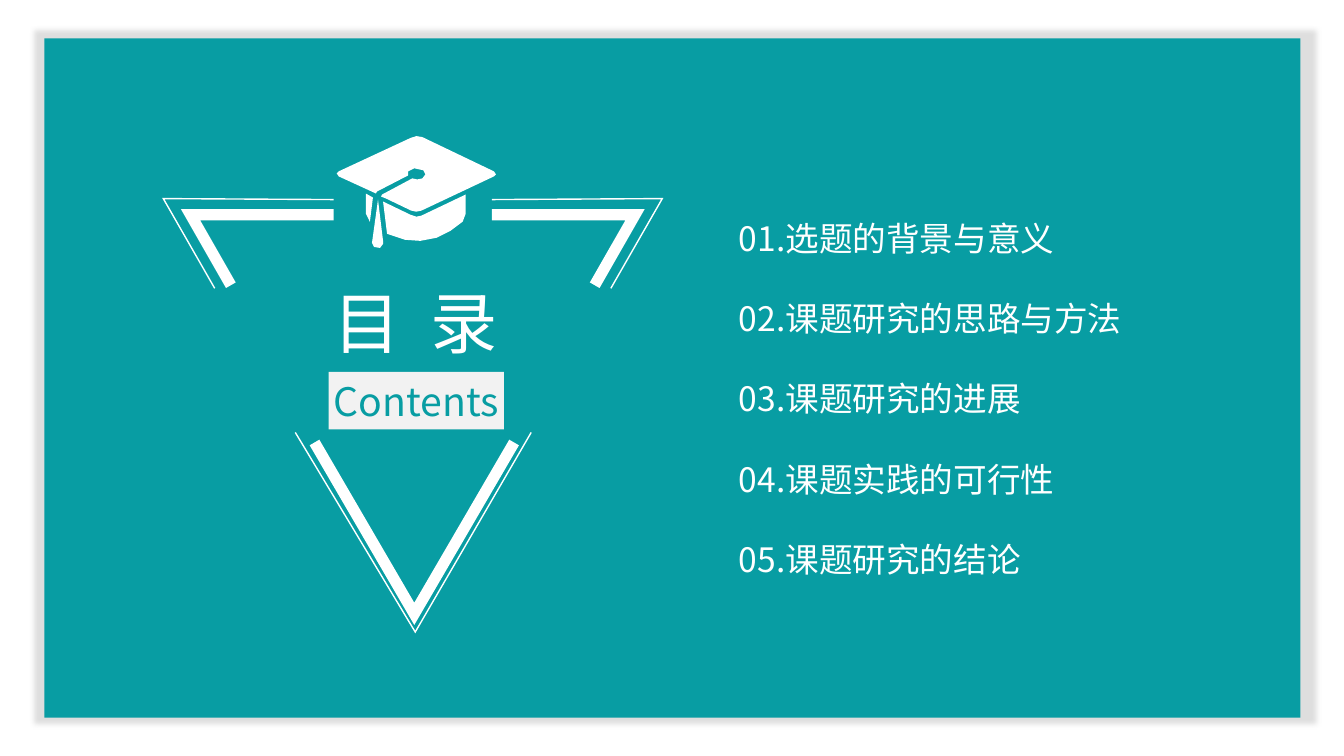
import dataclasses

import lxml.etree
import pptx
import pptx.dml.color
import pptx.enum.shapes
import pptx.enum.text
import pptx.oxml
import pptx.oxml.ns
import pptx.util


@dataclasses.dataclass(frozen=True)
class Theme:
    teal: str = "089DA3"
    white: str = "FFFFFF"
    label: str = "F2F2F2"
    shadow: str = "A6A6A6"
    font: str = "Noto Sans CJK SC"
    title_size: int = 48
    label_size: int = 28
    topic_size: int = 24
    topic_pitch: float = 57.4
    thin: int = 1
    thick: int = 8


THEME = Theme()
CELL = pptx.util.Inches(0.1)
COLUMNS, ROWS = 133.33, 75
MIRROR = 81.9

TOPICS = ["选题的背景与意义", "课题研究的思路与方法", "课题研究的进展", "课题实践的可行性", "课题研究的结论"]

CORNERS = [
    (THEME.thin, [(21.3, 28.6), (16.2, 19.7), (33.1, 19.8)]),
    (THEME.thick, [(22.9, 28.3), (18.9, 21.3), (33.1, 21.3)]),
]
TIPS = [
    (THEME.thin, [(52.7, 42.9), (41.2, 62.7), (29.3, 42.9)]),
    (THEME.thick, [(51, 43.9), (41.1, 60.9), (31.2, 43.9)]),
]
CAP_PARTS = [
    [(40.7, 13.7), (41.3, 13.5), (41.9, 13.6), (49, 17), (49.2, 17.3), (49, 17.5),
     (41.8, 20.9), (41.3, 21), (40.8, 20.9), (38.3, 19.7), (37.8, 19.5), (37.9, 19.3),
     (40.9, 17.7), (41.4, 17.8), (41.9, 17.7), (42.2, 17.3), (42, 16.9), (41.1, 16.7),
     (40.5, 17), (40.5, 17.4), (37.4, 19), (37.3, 19.2), (33.6, 17.5), (33.4, 17.2),
     (33.6, 17)],
    [(36.3, 19.2), (37, 19.6), (36.7, 22), (36.3, 21.2)],
    [(41.8, 21.4), (46.2, 19.3), (46.2, 21.2), (45.9, 22), (44.7, 22.9), (43.3, 23.6),
     (41.7, 23.9), (40.2, 23.8), (38.4, 23.2), (38, 20), (40.7, 21.3), (41.3, 21.5)],
    [(36.9, 24.1), (37.5, 19.8), (38, 23.9), (38, 24.2), (37.7, 24.6), (37.1, 24.5)],
]


def colour(value):
    """Turn a hexadecimal string into a colour."""
    return pptx.dml.color.RGBColor.from_string(value)


def place(shape, left, top, width, height):
    """Put a shape on the grid."""
    shape.left, shape.top = round(left * CELL), round(top * CELL)
    shape.width, shape.height = round(width * CELL), round(height * CELL)


def add_block(shapes, area, fill):
    """Add a plain filled rectangle."""
    block = shapes.add_shape(pptx.enum.shapes.MSO_SHAPE.RECTANGLE, 0, 0, 0, 0)
    place(block, *area)
    block.shadow.inherit = False
    block.fill.solid()
    block.fill.fore_color.rgb = colour(fill)
    block.line.fill.background()
    return block


def add_glow(block):
    """Give a block a soft shadow slightly larger than itself."""
    effects = block.element.spPr.find(pptx.oxml.ns.qn("a:effectLst"))
    effects.append(pptx.oxml.parse_xml(
        f'<a:outerShdw {pptx.oxml.ns.nsdecls("a")} blurRad="50800" dist="25400" dir="0" '
        f'sx="102000" sy="102000" algn="ctr" rotWithShape="0"><a:srgbClr val="{THEME.shadow}">'
        '<a:alpha val="36000"/></a:srgbClr></a:outerShdw>'))


def add_outline(shapes, points, closed):
    """Add a freeform through grid points."""
    start, *others = [(round(x * CELL), round(y * CELL)) for x, y in points]
    builder = shapes.build_freeform(*start)
    builder.add_line_segments(others, close=closed)
    outline = builder.convert_to_shape()
    outline.shadow.inherit = False
    return outline


def add_stroke(shapes, points, weight):
    """Add an open white stroke with sharp corners."""
    stroke = add_outline(shapes, points, False)
    stroke.fill.background()
    stroke.line.color.rgb = colour(THEME.white)
    stroke.line.width = pptx.util.Pt(weight)
    miter = lxml.etree.SubElement(stroke.line._get_or_add_ln(), pptx.oxml.ns.qn("a:miter"))
    miter.set("lim", "800000")


def add_frame(shapes):
    """Draw the broken double triangle."""
    frame = shapes.add_group_shape().shapes
    for weight, points in CORNERS:
        add_stroke(frame, points, weight)
        add_stroke(frame, [(MIRROR - x, y) for x, y in points], weight)
    for weight, points in TIPS:
        add_stroke(frame, points, weight)


def add_cap(shapes):
    """Draw the graduation cap."""
    cap = shapes.add_group_shape().shapes
    for points in CAP_PARTS:
        part = add_outline(cap, points, True)
        part.fill.solid()
        part.fill.fore_color.rgb = colour(THEME.white)
        part.line.fill.background()


def write(box, lines, size, ink, align, anchor, wrap=True, pitch=1.0, tracking=0):
    """Fill a box with plain paragraphs of one style."""
    frame = box.text_frame
    frame.auto_size = pptx.enum.text.MSO_AUTO_SIZE.NONE
    frame.word_wrap = wrap
    frame.vertical_anchor = anchor
    frame.text = "\n".join(lines)
    for para in frame.paragraphs:
        properties = para._p.get_or_add_pPr()
        properties.set("marL", "0")
        properties.set("indent", "0")
        para.alignment = align
        para.line_spacing = pitch
        para.space_before = pptx.util.Pt(0)
        lxml.etree.SubElement(properties, pptx.oxml.ns.qn("a:buNone"))
        para.font.size = pptx.util.Pt(size)
        para.font.color.rgb = colour(ink)
        para.font.name = THEME.font
        defaults = properties.find(pptx.oxml.ns.qn("a:defRPr"))
        east_asian = lxml.etree.SubElement(defaults, pptx.oxml.ns.qn("a:ea"))
        east_asian.set("typeface", THEME.font)
        if tracking:
            defaults.set("spc", str(tracking))


def bring_forward(shape):
    """Move a shape to the front of the page."""
    shape.element.getparent().append(shape.element)


def main():
    """Build the contents page."""
    deck = pptx.Presentation()
    deck.slide_width, deck.slide_height = round(COLUMNS * CELL), ROWS * CELL
    page = deck.slides.add_slide(deck.slide_layouts[1])
    left = pptx.enum.text.PP_ALIGN.LEFT
    centre = pptx.enum.text.PP_ALIGN.CENTER
    top = pptx.enum.text.MSO_ANCHOR.TOP
    middle = pptx.enum.text.MSO_ANCHOR.MIDDLE

    add_glow(add_block(page.shapes, (4.4, 3.8, 124.6, 67.4), THEME.teal))
    add_frame(page.shapes)
    add_cap(page.shapes)

    topics = page.placeholders[1]
    place(topics, 72.3, 17.1, 46.2, 41.4)
    lines = [f"{number:02}.{topic}" for number, topic in enumerate(TOPICS, 1)]
    write(topics, lines, THEME.topic_size, THEME.white, left, top,
          pitch=pptx.util.Pt(THEME.topic_pitch))
    bring_forward(topics)

    title = page.shapes.title
    place(title, 30.2, 27.4, 22.1, 9.1)
    write(title, ["目 录"], THEME.title_size, THEME.white, centre, middle, tracking=540)
    bring_forward(title)

    label = add_block(page.shapes, (32.6, 36.9, 17.4, 5.7), THEME.label)
    write(label, ["Contents"], THEME.label_size, THEME.teal, centre, middle, wrap=False)

    deck.save("out.pptx")


if __name__ == "__main__":
    main()
